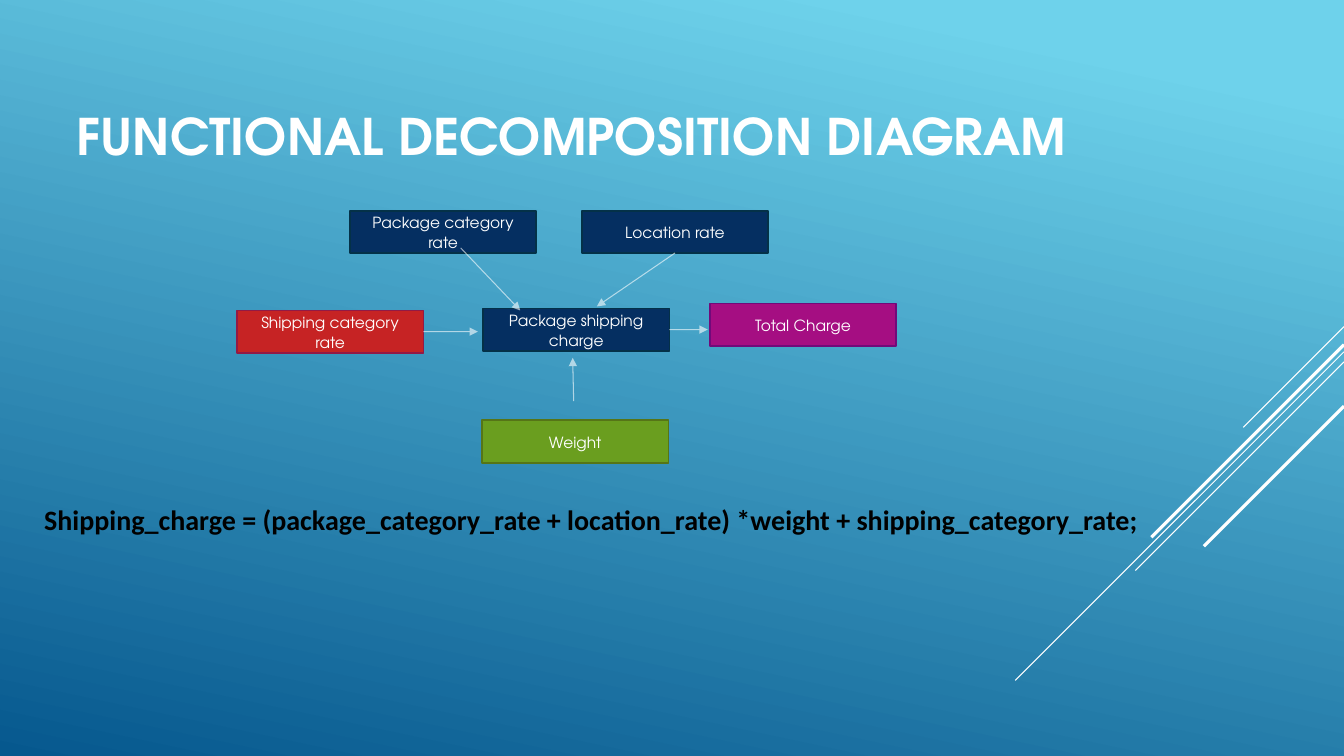
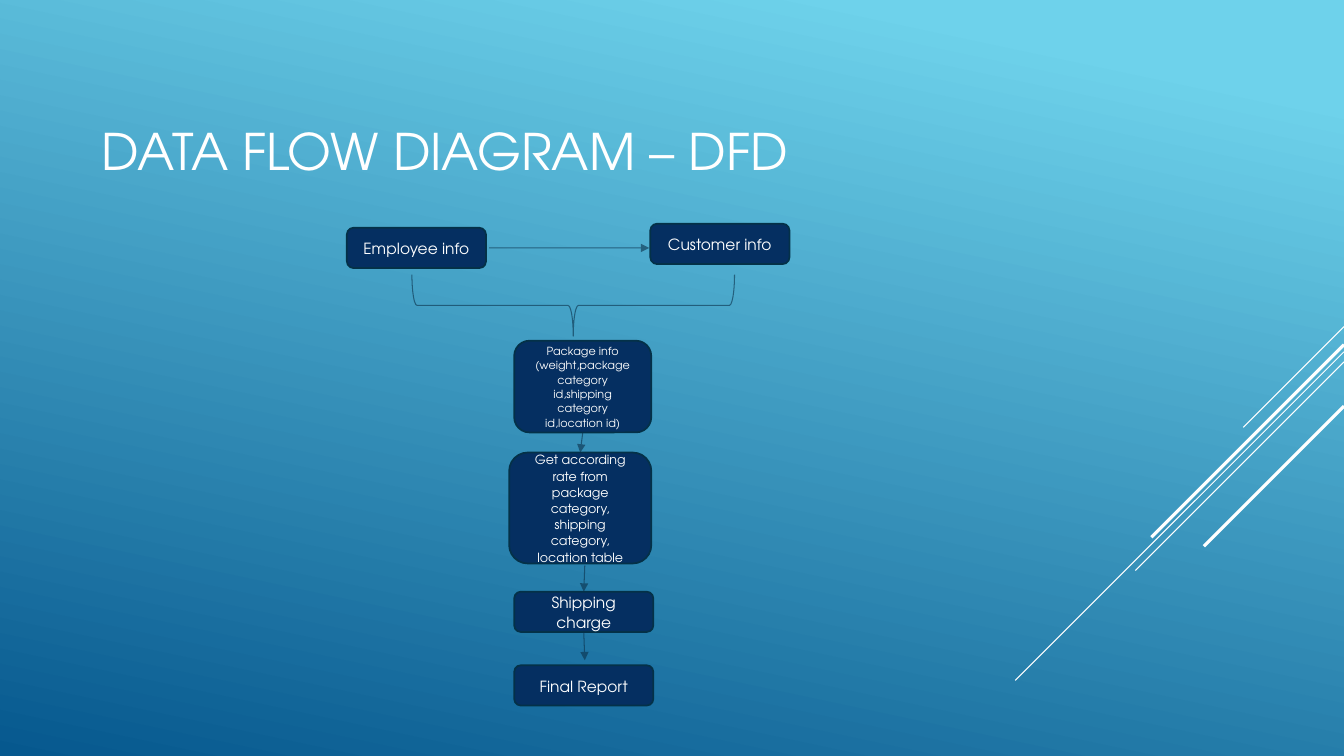
import lxml.etree
import pptx
import pptx.dml.color
import pptx.enum.shapes
import pptx.enum.text
import pptx.oxml.ns
import pptx.util

RGBColor = pptx.dml.color.RGBColor
SHAPE = pptx.enum.shapes.MSO_SHAPE
ALIGN = pptx.enum.text.PP_ALIGN
ANCHOR = pptx.enum.text.MSO_ANCHOR

WHITE = RGBColor(0xFF, 0xFF, 0xFF)
BLACK = RGBColor(0x00, 0x00, 0x00)
SKY = RGBColor(0x6E, 0xD2, 0xEB)
OCEAN = RGBColor(0x06, 0x58, 0x8E)
INK = RGBColor(0x0A, 0x30, 0x4A)
# Fill and outline of a box
NAVY = RGBColor(0x05, 0x2F, 0x61), RGBColor(0x04, 0x31, 0x48)
GREEN = RGBColor(0x6A, 0x9E, 0x1F), RGBColor(0x56, 0x75, 0x17)
PURPLE = RGBColor(0xA5, 0x0E, 0x82), RGBColor(0x71, 0x0A, 0x7A)
RED = RGBColor(0xC6, 0x23, 0x24), RGBColor(0x92, 0x1A, 0x46)

HEADING_FONT = "TeX Gyre Adventor"
FORMULA_FONT = "Calibri"

# All places and sizes are counted in square grid cells
CELL = pptx.util.Inches(0.1)
COLUMNS, ROWS = 133.3, 75
TOP, LEFT, BOTTOM, RIGHT = range(4)

# Diagonal rays from the right edge: starting row, extent, line width
RAYS = [(32.4, 10, 0.75), (34.9, 32.6, 0.75), (35.9, 20.7, 0.75),
        (34.2, 19.1, 2.25), (40.3, 13.9, 2.25)]

RATE_SIZE = (18.5, 4.2)
STEP_SIZE = (13.8, 4)

# Boxes: text, (column, row), (width, height), colours, text size
# Arrows: each end is a (column, row) point or a (box text, side) pair
DECOMPOSITION = {
    "title": "FUNCTIONAL DECOMPOSITION DIAGRAM",
    "title_area": (6.6, 7.8, 102.2, 11.3),
    "bold": True,
    "outline": SHAPE.RECTANGLE,
    "boxes": [
        ("Package shipping charge", (47.9, 30.6), RATE_SIZE, NAVY, 11),
        ("Package category rate", (34.7, 20.9), RATE_SIZE, NAVY, 11),
        ("Weight", (47.8, 41.7), RATE_SIZE, GREEN, 11),
        ("Total Charge", (70.4, 30.1), RATE_SIZE, PURPLE, 11),
        ("Shipping category rate", (23.5, 30.8), RATE_SIZE, RED, 11),
        ("Location rate", (57.7, 20.9), RATE_SIZE, NAVY, 11),
    ],
    "arrow_colour": WHITE,
    "arrows": [
        ((45.7, 24.6), (51.6, 30.8)),
        ((56.9, 39.8), (56.8, 35.5)),
        (("Package shipping charge", RIGHT), (70.2, 32.7)),
        (("Shipping category rate", RIGHT), (47.4, 32.9)),
        (("Location rate", BOTTOM), (59.2, 30.4)),
    ],
}
FORMULA = ("Shipping_charge = (package_category_rate + location_rate) "
           "*weight + shipping_category_rate;")
FORMULA_AREA = (0.9, 47.7, 113.7, 5.5)

PACKAGE = "Package info (weight,package category id,shipping category id,location id)"
LOOKUP = "Get according rate from package category, shipping category, location table"
DATA_FLOW = {
    "title": "DATA FLOW DIAGRAM – DFD",
    "title_area": (9.1, 9.8, 93.3, 10.2),
    "bold": False,
    "outline": SHAPE.ROUNDED_RECTANGLE,
    "boxes": [
        ("Employee info", (34.4, 22.6), STEP_SIZE, NAVY, 11),
        ("Customer info", (64.5, 22.2), STEP_SIZE, NAVY, 11),
        (PACKAGE, (51, 33.8), (13.6, 9.1), NAVY, 8),
        (LOOKUP, (50.5, 44.9), (14.1, 11), NAVY, 9),
        ("Shipping charge", (51, 58.7), STEP_SIZE, NAVY, 11),
        ("Final Report", (51, 66), STEP_SIZE, NAVY, 11),
    ],
    "arrow_colour": INK,
    "arrows": [
        ((48.5, 24.6), (64.4, 24.6)),
        ((PACKAGE, BOTTOM), (LOOKUP, TOP)),
        ((58, 56.1), ("Shipping charge", TOP)),
        (("Shipping charge", BOTTOM), (58, 65.5)),
    ],
}
BRACE_AREA = (53.8, 14.3, 6.1, 32)


def cells(*counts):
    return [round(count * CELL) for count in counts]


def add_drawing_tag(parent, tag, **attributes):
    return lxml.etree.SubElement(parent, pptx.oxml.ns.qn("a:" + tag), attributes)


def style_line(shape, colour, width, opaque=True):
    shape.line.color.rgb = colour
    shape.line.width = pptx.util.Pt(width)
    if not opaque:
        outline = shape.element.spPr.get_or_add_ln()
        for value in outline.iter(pptx.oxml.ns.qn("a:srgbClr")):
            add_drawing_tag(value, "alpha", val="60000")


def style_text(para, text, font, size, colour, bold=False):
    para.text = text
    para.font.name = font
    para.font.size = pptx.util.Pt(size)
    para.font.color.rgb = colour
    para.font.bold = bold


def add_line(page, start, end, colour, width, opaque=True):
    line = page.shapes.add_connector(
        pptx.enum.shapes.MSO_CONNECTOR.STRAIGHT, *cells(*start, *end))
    style_line(line, colour, width, opaque)
    add_drawing_tag(line.element.spPr, "effectLst")
    return line


def add_text_area(page, area):
    frame = page.shapes.add_textbox(*cells(*area)).text_frame
    frame.word_wrap = True
    return frame


def add_box(page, outline, text, place, size, colours, text_size):
    box = page.shapes.add_shape(outline, *cells(*place, *size))
    box.shadow.inherit = False
    box.fill.solid()
    box.fill.fore_color.rgb, edge = colours
    style_line(box, edge, 1.25)
    box.text_frame.word_wrap = True
    box.text_frame.vertical_anchor = ANCHOR.MIDDLE
    para = box.text_frame.paragraphs[0]
    style_text(para, text, HEADING_FONT, text_size, WHITE)
    para.alignment = ALIGN.CENTER
    para.line_spacing = 1.07
    para.space_after = pptx.util.Pt(8)
    return box


def add_arrow(page, boxes, start, end, colour):
    """Draw an arrow, joining each end that names a box."""
    points = [(0, 0) if point[0] in boxes else point for point in (start, end)]
    arrow = add_line(page, *points, colour, 0.75, opaque=False)
    add_drawing_tag(arrow.element.spPr.get_or_add_ln(), "tailEnd", type="triangle")
    for point, join in ((start, arrow.begin_connect), (end, arrow.end_connect)):
        if point[0] in boxes:
            join(boxes[point[0]], point[1])


def add_diagram(deck, diagram):
    page = deck.slides.add_slide(deck.slide_layouts[6])
    for row, extent, width in RAYS:
        add_line(page, (COLUMNS, row), (COLUMNS - extent, row + extent), WHITE, width)
    title = add_text_area(page, diagram["title_area"])
    title.vertical_anchor = ANCHOR.MIDDLE
    style_text(title.paragraphs[0], diagram["title"], HEADING_FONT, 36, WHITE,
               diagram["bold"])
    boxes = {box[0]: add_box(page, diagram["outline"], *box)
             for box in diagram["boxes"]}
    for start, end in diagram["arrows"]:
        add_arrow(page, boxes, start, end, diagram["arrow_colour"])
    return page


def add_formula(page):
    frame = add_text_area(page, FORMULA_AREA)
    frame.auto_size = pptx.enum.text.MSO_AUTO_SIZE.SHAPE_TO_FIT_TEXT
    para = frame.paragraphs[0]
    style_text(para, FORMULA, FORMULA_FONT, 20, BLACK, bold=True)
    para.alignment = ALIGN.JUSTIFY
    para.line_spacing = 1.5
    para.space_after = pptx.util.Pt(8)
    para._p.get_or_add_pPr().set("marL", str(pptx.util.Inches(0.25)))


def add_brace(page):
    brace = page.shapes.add_shape(SHAPE.RIGHT_BRACE, *cells(*BRACE_AREA))
    brace.rotation = 90
    brace.shadow.inherit = False
    brace.fill.background()
    style_line(brace, INK, 0.75, opaque=False)


def paint_background(master):
    fill = master.background.fill
    fill.gradient()
    fill.gradient_angle = 360 - 102
    for stop, colour, position in zip(fill.gradient_stops, (SKY, OCEAN), (0.1, 1)):
        stop.color.rgb = colour
        stop.position = position


def main():
    deck = pptx.Presentation()
    deck.slide_width, deck.slide_height = cells(COLUMNS, ROWS)
    paint_background(deck.slide_master)
    add_formula(add_diagram(deck, DECOMPOSITION))
    add_brace(add_diagram(deck, DATA_FLOW))
    deck.save("out.pptx")


if __name__ == "__main__":
    main()
